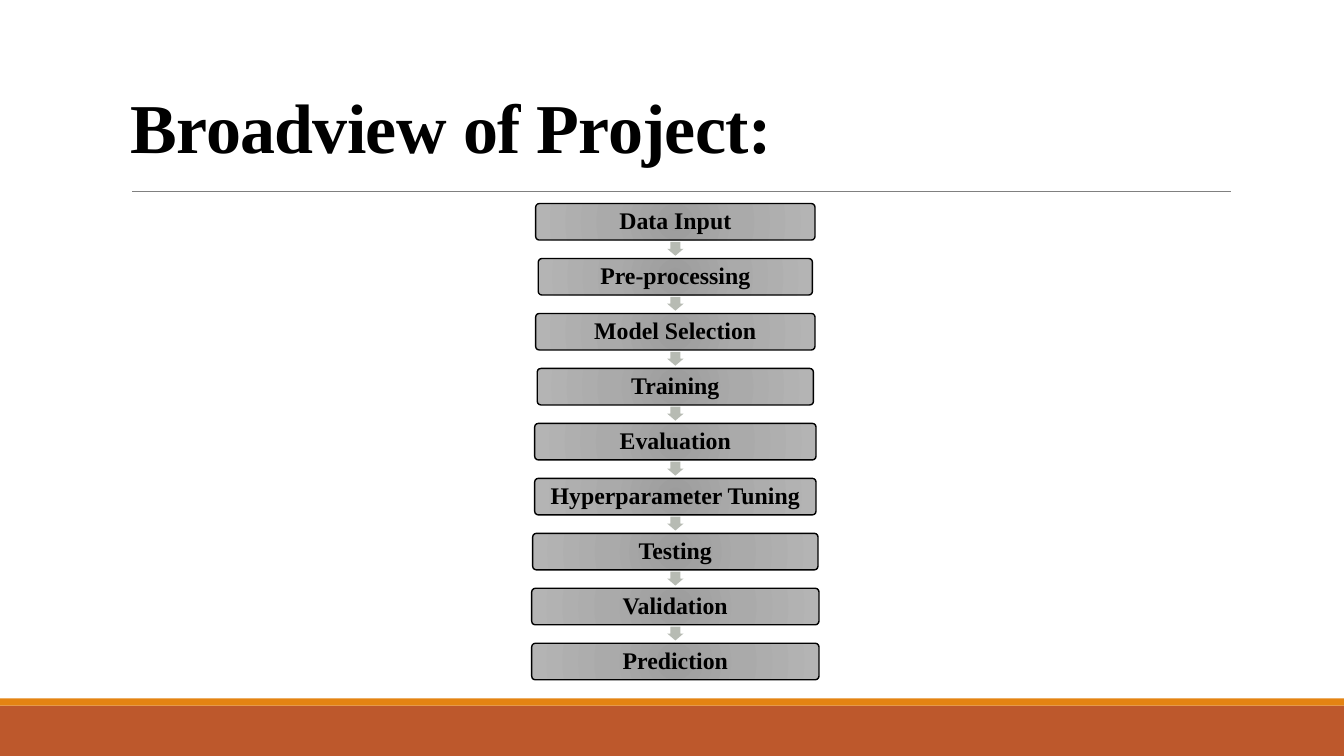
from pptx import Presentation
from pptx.dml.color import RGBColor
from pptx.enum.shapes import MSO_CONNECTOR, MSO_SHAPE
from pptx.enum.text import MSO_ANCHOR, PP_ALIGN
from pptx.oxml import parse_xml
from pptx.oxml.ns import nsdecls, qn
from pptx.util import Cm, Pt
from lxml import etree

RECTANGLE = MSO_SHAPE.RECTANGLE
ROUNDED = MSO_SHAPE.ROUNDED_RECTANGLE
ARROW = MSO_SHAPE.RIGHT_ARROW
STRAIGHT = MSO_CONNECTOR.STRAIGHT
LEFT, CENTER = PP_ALIGN.LEFT, PP_ALIGN.CENTER
BOTTOM, MIDDLE = MSO_ANCHOR.BOTTOM, MSO_ANCHOR.MIDDLE

COLORS = {"text": "000000", "outline": "000000", "rule": "808080",
          "band": "BD582C", "stripe": "E48312", "arrow": "B7BBB3"}
STEP_GRADIENT = [(0, "9C9C9C"), (45, "AAAAAA"), (100, "B4B4B4")]
FONT = "Times New Roman"

# Process steps with the width of each box in cm
STEPS = [("Data Input", 7.04), ("Pre-processing", 6.91),
         ("Model Selection", 7.04), ("Training", 6.96),
         ("Evaluation", 7.09), ("Hyperparameter Tuning", 7.09),
         ("Testing", 7.19), ("Validation", 7.24), ("Prediction", 7.24)]
AXIS = 17.02
FIRST_TOP, LAST_TOP = 5.13, 16.21
PITCH = (LAST_TOP - FIRST_TOP) / (len(STEPS) - 1)
STEP_HEIGHT = 0.92
ARROW_LENGTH, ARROW_BREADTH = 0.35, 0.41
ARROW_OFFSET = 1.14


def assign(target, values):
    for name, value in values.items():
        setattr(target, name, value)


class SlideBuilder:
    def __init__(self, page):
        self.page = page

    def color(self, name):
        return RGBColor.from_string(COLORS[name])

    def add_text(self, frame, text, size, align, anchor, spacing, inset):
        assign(frame, {"word_wrap": True, "vertical_anchor": anchor,
                       **{f"margin_{side}": Cm(inset)
                          for side in ("left", "top", "right", "bottom")}})
        para = frame.paragraphs[0]
        assign(para, {"alignment": align, "line_spacing": spacing})
        span = para.add_run()
        span.text = text
        assign(span.font, {"name": FONT, "size": Pt(size), "bold": True})
        span.font.color.rgb = self.color("text")
        return span

    def title(self, text, left, top, width, height):
        box = self.page.shapes.title
        assign(box, {"left": Cm(left), "top": Cm(top),
                     "width": Cm(width), "height": Cm(height)})
        span = self.add_text(box.text_frame, text, 50, LEFT, BOTTOM, 0.85, 0.25)
        span.font._element.set("spc", "-50")

    def shape(self, kind, left, top, width, height, fill):
        shape = self.page.shapes.add_shape(
            kind, Cm(left), Cm(top), Cm(width), Cm(height))
        shape.shadow.inherit = False
        shape.fill.solid()
        shape.fill.fore_color.rgb = self.color(fill)
        shape.line.fill.background()
        return shape

    def rule(self, left, right, top):
        line = self.page.shapes.add_connector(
            STRAIGHT, Cm(left), Cm(top), Cm(right), Cm(top))
        line.line.color.rgb = self.color("rule")
        line.line.width = Pt(0.5)
        etree.SubElement(line._element.spPr, qn("a:effectLst"))

    def radial_fill(self, shape, gradient):
        stops = "".join(
            f'<a:gs pos="{place * 1000}"><a:srgbClr val="{color}"/></a:gs>'
            for place, color in gradient)
        properties = shape._element.spPr
        properties.replace(properties.find(qn("a:solidFill")), parse_xml(
            f'<a:gradFill {nsdecls("a")} rotWithShape="1">'
            f'<a:gsLst>{stops}</a:gsLst><a:path path="circle">'
            '<a:fillToRect l="100000" t="100000" r="100000" b="100000"/>'
            '</a:path></a:gradFill>'))

    def step(self, text, top, width):
        box = self.shape(ROUNDED, AXIS - width / 2, top, width, STEP_HEIGHT,
                         "arrow")
        box.adjustments[0] = 0.1
        self.radial_fill(box, STEP_GRADIENT)
        box.line.color.rgb = self.color("outline")
        box.line.width = Pt(1)
        self.add_text(box.text_frame, text, 17, CENTER, MIDDLE, 0.9, 0.18)

    def down_arrow(self, middle):
        arrow = self.shape(ARROW, AXIS - ARROW_LENGTH / 2,
                           middle - ARROW_BREADTH / 2,
                           ARROW_LENGTH, ARROW_BREADTH, "arrow")
        arrow.rotation = 90
        arrow.adjustments[0] = 0.6
        arrow.adjustments[1] = 0.5


deck = Presentation()
deck.slide_width, deck.slide_height = Cm(33.87), Cm(19.05)
builder = SlideBuilder(deck.slides.add_slide(deck.slide_layouts[5]))

# Footer bands and title rule
builder.shape(RECTANGLE, 0, 17.78, 33.87, 1.27, "band")
builder.shape(RECTANGLE, 0, 17.6, 33.87, 0.18, "stripe")
builder.rule(3.33, 31.01, 4.82)

# Title
builder.title("Broadview of Project:", 3.05, 0.43, 27.94, 4.04)

# Process flow
for index, (label, width) in enumerate(STEPS):
    top = FIRST_TOP + index * PITCH
    builder.step(label, top, width)
    if index < len(STEPS) - 1:
        builder.down_arrow(top + ARROW_OFFSET)

deck.save("out.pptx")
